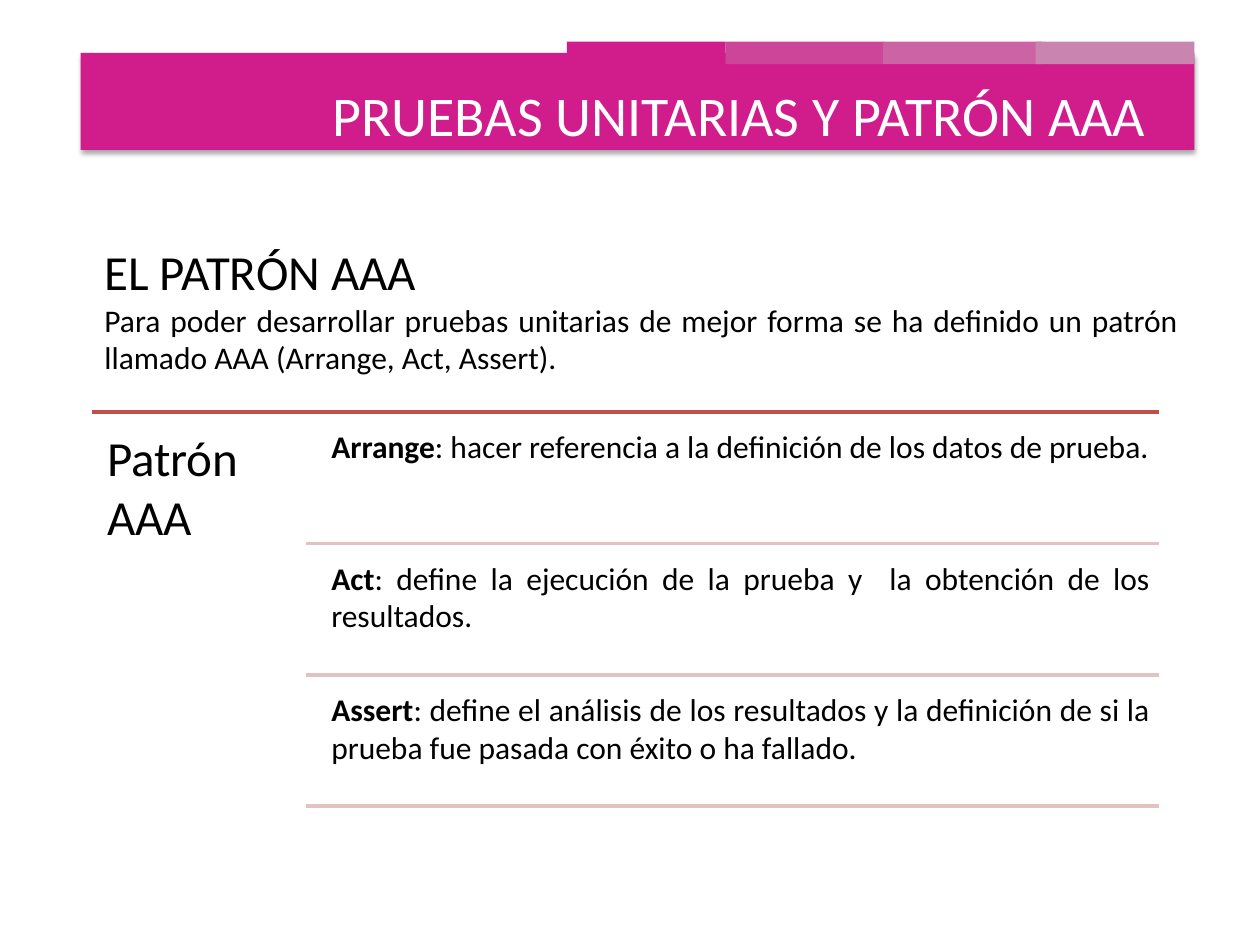
from dataclasses import dataclass

from lxml import etree
from pptx import Presentation
from pptx.dml.color import RGBColor
from pptx.enum import shapes, text
from pptx.oxml import parse_xml
from pptx.oxml.ns import nsdecls, qn
from pptx.util import Inches, Pt

FONT = "Calibri"
BLACK, WHITE, MAGENTA = "000000", "FFFFFF", "D11D8B"
RED, PALE_RED = "C0504D", "E2C2C2"
LEFT, RIGHT = 0.73, 9.2
RULE_LEFT, STEP_LEFT = 2.43, 2.56
LIST_TOP, ROW_HEIGHT = 3.27, 1.043


@dataclass
class Bar:
    left: float
    top: float
    width: float
    height: float
    color: str


@dataclass
class Run:
    text: str
    size: float
    bold: bool = False
    color: str = BLACK


@dataclass
class Step:
    name: str
    meaning: str


BANNER = Bar(0.64, 0.42, 8.84, 0.77, MAGENTA)
TABS = [
    Bar(left, 0.33, 1.26, 0.18, color)
    for left, color in [(4.5, MAGENTA), (5.76, "CD4599"), (7.01, "CC63A5"), (8.22, "C984B0")]
]
STEPS = [
    Step("Arrange", ": hacer referencia a la definición de los datos de prueba."),
    Step("Act", ": define la ejecución de la prueba y  la obtención de los resultados."),
    Step("Assert", ": define el análisis de los resultados y la definición de si la "
                   "prueba fue pasada con éxito o ha fallado."),
]


def rgb(color: str) -> RGBColor:
    return RGBColor.from_string(color)


def add_bar(slide, bar: Bar):
    shape = slide.shapes.add_shape(
        shapes.MSO_SHAPE.RECTANGLE,
        Inches(bar.left), Inches(bar.top), Inches(bar.width), Inches(bar.height))
    shape.shadow.inherit = False
    shape.fill.solid()
    shape.fill.fore_color.rgb = rgb(bar.color)
    shape.line.fill.background()
    return shape


def add_soft_shadow(shape) -> None:
    effects = shape._element.spPr.find(qn("a:effectLst"))
    effects.append(parse_xml(
        f'<a:outerShdw {nsdecls("a")} blurRad="{Pt(3.1)}" dist="{Pt(1.8)}" dir="5400000" '
        'algn="t" rotWithShape="0"><a:srgbClr val="000000"><a:alpha val="35000"/>'
        '</a:srgbClr></a:outerShdw>'))


def add_rule(slide, left: float, y: float, color: str) -> None:
    line = slide.shapes.add_connector(
        shapes.MSO_CONNECTOR.STRAIGHT, Inches(left), Inches(y), Inches(RIGHT), Inches(y))
    line.line.color.rgb = rgb(color)
    line.line.width = Pt(2)
    etree.SubElement(line._element.spPr, qn("a:effectLst"))


def write(frame, paragraphs: list[list[Run]], alignment) -> None:
    frame.word_wrap = True
    frame.auto_size = text.MSO_AUTO_SIZE.NONE
    frame.vertical_anchor = text.MSO_ANCHOR.TOP
    for index, runs in enumerate(paragraphs):
        paragraph = frame.add_paragraph() if index else frame.paragraphs[0]
        paragraph.alignment = alignment
        for item in runs:
            run = paragraph.add_run()
            run.text = item.text
            run.font.name = FONT
            run.font.size = Pt(item.size)
            run.font.bold = item.bold
            run.font.color.rgb = rgb(item.color)


def add_text(slide, left: float, top: float, width: float, height: float,
             paragraphs: list[list[Run]], inset: float | None = None) -> None:
    """Add a justified text box, with the same inset on all sides if one is given."""
    box = slide.shapes.add_textbox(Inches(left), Inches(top), Inches(width), Inches(height))
    frame = box.text_frame
    if inset is not None:
        frame.margin_left = frame.margin_right = Inches(inset)
        frame.margin_top = frame.margin_bottom = Inches(inset)
    write(frame, paragraphs, text.PP_ALIGN.JUSTIFY)


def place_title(slide, words: str) -> None:
    title = slide.shapes.title
    title.left, title.top = Inches(1.04), Inches(0.59)
    title.width, title.height = Inches(8.16), Inches(0.64)
    write(title.text_frame, [[Run(words, 32, color=WHITE)]], text.PP_ALIGN.RIGHT)
    slide.shapes._spTree.append(title._element)  # in front of the banner


def main() -> None:
    presentation = Presentation()
    presentation.slide_width, presentation.slide_height = Inches(10), Inches(7.5)
    slide = presentation.slides.add_slide(presentation.slide_layouts[5])

    add_soft_shadow(add_bar(slide, BANNER))
    for tab in TABS:
        add_bar(slide, tab)
    place_title(slide, "PRUEBAS UNITARIAS Y PATRÓN AAA")

    add_text(slide, LEFT, 1.87, 8.72, 1.78, [
        [Run("EL PATRÓN AAA", 28)],
        [Run("Para poder desarrollar pruebas unitarias de mejor forma se ha definido "
             "un patrón llamado AAA (Arrange, Act, Assert).", 18)],
    ])

    add_rule(slide, LEFT, LIST_TOP, RED)
    add_text(slide, LEFT, LIST_TOP, 1.69, 3.18, [[Run("Patrón AAA", 28)]], inset=0.12)
    for row, step in enumerate(STEPS):
        top = LIST_TOP + row * ROW_HEIGHT
        add_text(slide, STEP_LEFT, top + 0.05, RIGHT - STEP_LEFT, 0.99,
                 [[Run(step.name, 18, bold=True), Run(step.meaning, 18)]], inset=0.07)
        add_rule(slide, RULE_LEFT, top + ROW_HEIGHT, PALE_RED)

    presentation.save("out.pptx")


if __name__ == "__main__":
    main()
